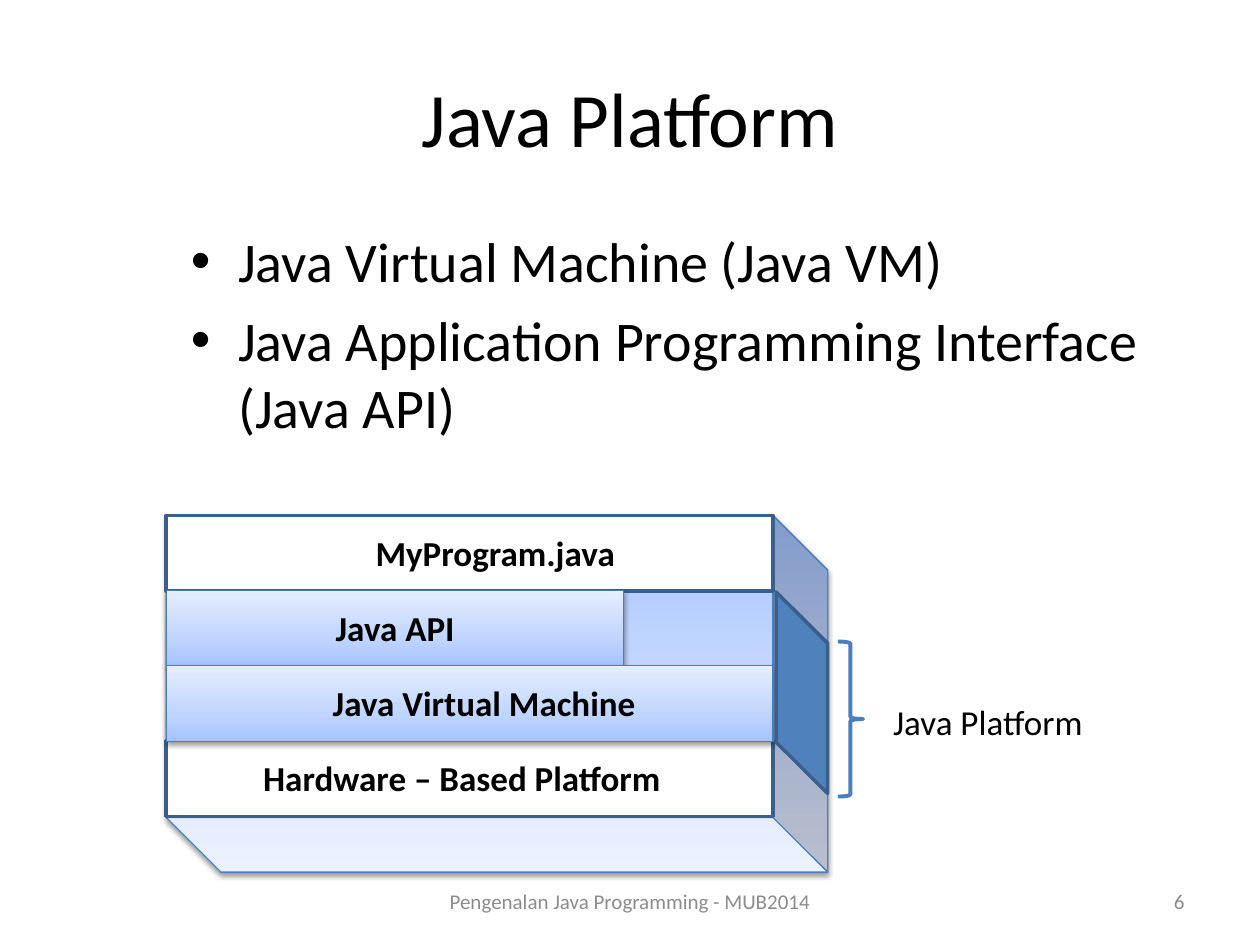
from dataclasses import dataclass

from lxml.etree import SubElement
from pptx import Presentation
from pptx.dml.color import RGBColor
from pptx.enum.shapes import MSO_SHAPE as SHAPE
from pptx.enum.text import MSO_ANCHOR as ANCHOR, PP_ALIGN as ALIGN
from pptx.oxml.ns import qn
from pptx.util import Pt


@dataclass(frozen=True)
class Theme:
    """Colours, font and type sizes of the slide."""
    font: str = "Calibri"
    ink: str = "000000"
    muted: str = "8C8C8C"
    paper: str = "FFFFFF"
    accent: str = "4F81BD"
    thin_line: str = "4B7EBC"
    dark_line: str = "3A5F8C"
    gradient: tuple = ((0, "A4C4FF"), (35, "BFD4FF"), (100, "E6EEFF"))
    title: int = 44
    body: int = 32
    label: int = 20
    footer: int = 12


T = Theme()


def add_text(slide, box, lines, size, color=T.ink, bold=False, align=ALIGN.LEFT,
             anchor=ANCHOR.TOP, wrap=True):
    """Add a text box with one paragraph per line and return its text frame."""
    tf = slide.shapes.add_textbox(*map(Pt, box)).text_frame
    tf.word_wrap = wrap
    tf.vertical_anchor = anchor
    tf.text = "\n".join(lines)
    for p in tf.paragraphs:
        p.alignment = align
        for r in p.runs:
            r.font.name = T.font
            r.font.size = Pt(size)
            r.font.bold = bold
            r.font.color.rgb = RGBColor.from_string(color)
    return tf


def add_solid(slide, kind, box, fill, line, weight):
    """Add a preset shape with a plain fill, or none, and an outline."""
    sp = slide.shapes.add_shape(kind, *map(Pt, box))
    sp.shadow.inherit = False
    if fill:
        sp.fill.solid()
        sp.fill.fore_color.rgb = RGBColor.from_string(fill)
    else:
        sp.fill.background()
    sp.line.color.rgb = RGBColor.from_string(line)
    sp.line.width = Pt(weight)
    return sp


def add_glossy(slide, kind, box):
    """Add a preset shape with the blue gradient and a soft shadow below."""
    sp = add_solid(slide, kind, box, T.paper, T.thin_line, 0.75)
    sp.fill.gradient()
    sp.fill.gradient_angle = 90
    props = sp._element.spPr
    stops = props.find(qn("a:gradFill")).find(qn("a:gsLst"))
    for stop in list(stops):
        stops.remove(stop)
    for pos, color in T.gradient:
        stop = SubElement(stops, qn("a:gs"), pos=str(pos * 1000))
        SubElement(stop, qn("a:srgbClr"), val=color)
    shadow = SubElement(props.find(qn("a:effectLst")), qn("a:outerShdw"),
                        blurRad=str(Pt(3.1)), dist=str(Pt(1.6)),
                        dir="5400000", rotWithShape="0")
    tint = SubElement(shadow, qn("a:srgbClr"), val="000000")
    SubElement(tint, qn("a:alpha"), val="38000")
    return sp


def add_bullets(slide, box, lines):
    """Add the bulleted list with hanging indents."""
    for p in add_text(slide, box, lines, T.body).paragraphs:
        p.space_before = Pt(6.4)
        props = p._p.get_or_add_pPr()
        props.set("marL", str(Pt(27)))
        props.set("indent", str(Pt(-27)))
        SubElement(props, qn("a:buFont"), typeface="Arial")
        SubElement(props, qn("a:buChar"), char="•")


def add_stack(slide, box):
    """Draw the layered platform block with its side band, brace and label."""
    x, y, w, h = box
    depth, pitch, row_h = 31.2, 42.9, 43.2
    front = w - depth
    cube = add_glossy(slide, SHAPE.CUBE, box)
    cube.adjustments[0] = 0.153
    cube._element.spPr.find(qn("a:xfrm")).set("flipV", "1")

    layers = (
        (0, "MyProgram.java", front, False, 103, 170, ALIGN.CENTER),
        (3, "Hardware – Based Platform", front, False, 48.3, 281, ALIGN.LEFT),
        (1, "Java API", 261.4, True, 0.8, 260, ALIGN.CENTER),
        (2, "Java Virtual Machine", front, True, 88, 201, ALIGN.LEFT),
    )
    for row, _, width, glossy, *_ in layers:
        area = (x, y + row * pitch, width, row_h)
        if glossy:
            add_glossy(slide, SHAPE.RECTANGLE, area)
        else:
            add_solid(slide, SHAPE.RECTANGLE, area, T.paper, T.dark_line, 2)
    for row, label, _, _, dx, width, align in layers:
        add_text(slide, (x + dx, y + row * pitch + 5.3, width, 31.5), [label],
                 T.label, bold=True, align=align)

    band_w, band_h = 115.2, 29.5
    band = add_solid(slide, SHAPE.PARALLELOGRAM,
                     (x + 363.2 - band_w / 2, y + 101.2 - band_h / 2, band_w, band_h),
                     T.accent, T.dark_line, 2)
    band.rotation = 270
    band.adjustments[0] = 0.995
    add_solid(slide, SHAPE.RIGHT_BRACE, (x + w + 5.8, y + 72, 14.4, 88.6),
              None, T.thin_line, 2.25)
    add_text(slide, (x + w + 30.3, y + 102.2, 124.6, 31.5), ["Java Platform"],
             T.label, wrap=False)


def add_footer(slide, box):
    """Add the course name in the middle and the page number at the right."""
    x, y, w, h = box
    style = dict(size=T.footer, color=T.muted, anchor=ANCHOR.MIDDLE)
    add_text(slide, (x + w - 168, y, 168, h), ["6"], align=ALIGN.RIGHT, **style)
    add_text(slide, (x + (w - 228) / 2, y, 228, h),
             ["Pengenalan Java Programming - MUB2014"], align=ALIGN.CENTER, **style)


def build_slide(prs):
    """Build the Java Platform slide."""
    slide = prs.slides.add_slide(prs.slide_layouts[6])
    add_text(slide, (36, 21.6, 648, 90), ["Java Platform"], T.title,
             align=ALIGN.CENTER, anchor=ANCHOR.MIDDLE)
    add_bullets(slide, (102, 126, 564, 132), [
        "Java Virtual Machine (Java VM)",
        "Java Application Programming Interface (Java API)",
    ])
    add_stack(slide, (95, 294.6, 378, 203.8))
    add_footer(slide, (36, 500.5, 648, 28.75))


prs = Presentation()
prs.slide_width, prs.slide_height = Pt(720), Pt(540)
build_slide(prs)
prs.save("out.pptx")
